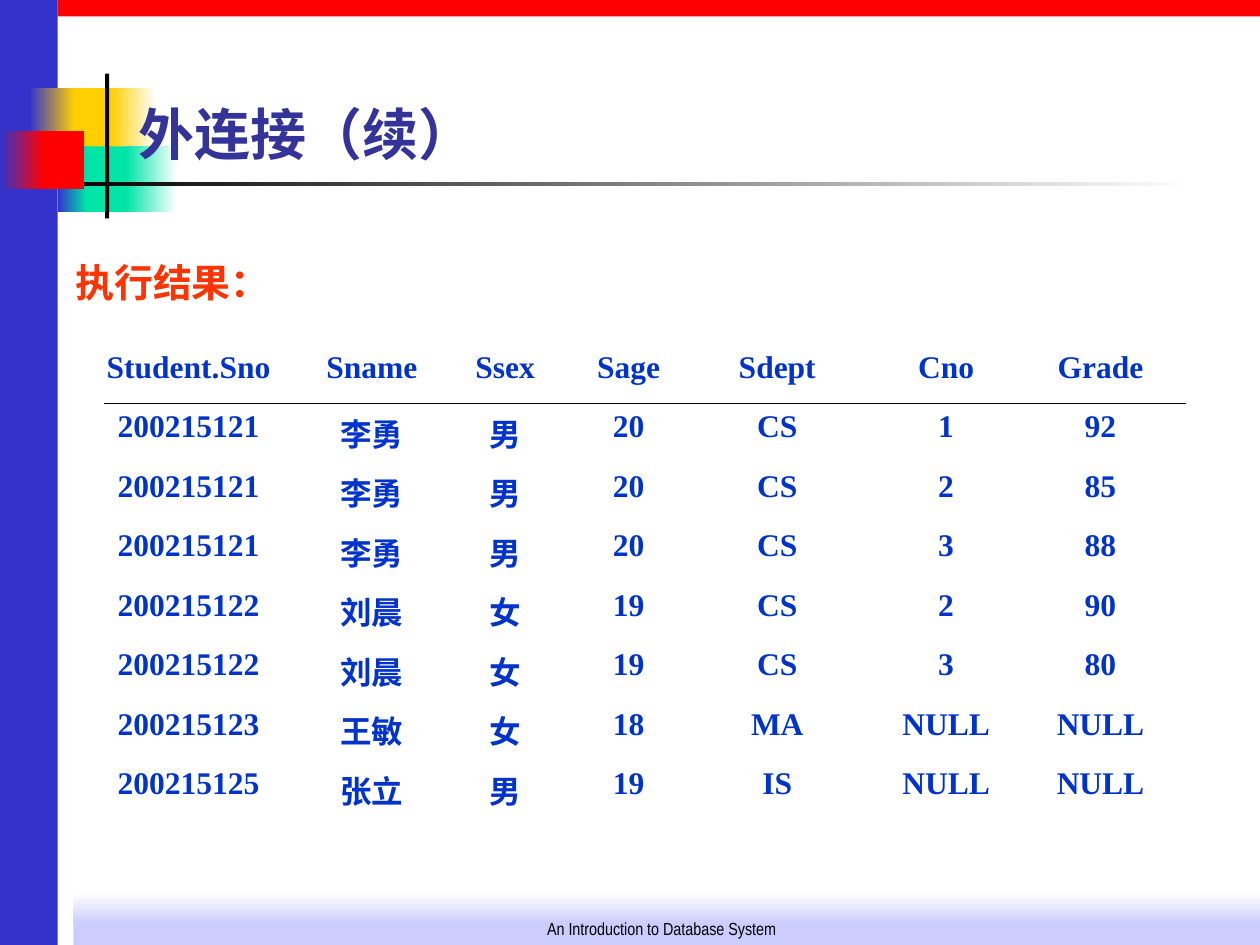
"""Build the slide that shows the result of an outer join."""
from lxml import etree
from pptx import Presentation
from pptx import util as u
from pptx.dml import color
from pptx.enum import shapes, text
from pptx.oxml import ns

PT = u.Pt
BLUE, GOLD, MINT, RED = "3333CC", "FFCF01", "00E4A8", "FF0000"
WHITE, BLACK, PALE = "FFFFFF", "000000", "CCCCFF"

BARS = [
    ((33, 0, 687, 9.4), [RED], 0),
    ((42, 522, 678, 18), [PALE], 0),
    ((42, 510, 678, 18), [WHITE, PALE], 270),
    ((0, 0, 33, 540), [BLUE], 0),
    ((42, 50.4, 25, 37.4), [GOLD], 0),
    ((63, 50.4, 26, 37.4), [GOLD, WHITE], 0),
    ((42.5, 83.7, 33, 37.4), [MINT], 0),
    ((72, 83.7, 29, 37.4), [MINT, WHITE], 0),
    ((60, 42, 2.4, 82.8), [BLACK], 0),
    ((16.8, 50.4, 25.7, 37.4), [BLUE, GOLD], 0),
    ((33, 83.7, 16.5, 37.4), [BLUE, MINT], 0),
    ((34.5, 104, 648, 2.5), [BLACK, WHITE], 0),
    ((23, 75, 25, 33), [RED], 0),
    ((0, 75, 25, 33), [BLUE, RED], 0),
]

MID, LEFT = text.PP_ALIGN.CENTER, text.PP_ALIGN.LEFT
TOP, LOW = text.MSO_ANCHOR.TOP, text.MSO_ANCHOR.BOTTOM
TEXTS = [
    ("An Introduction to Database System", (264, 504, 228, 36), LOW, MID,
     ("Arial Narrow", 10, BLACK, False)),
    ("外连接（续）", (72, 54, 582, 44.6), LOW, LEFT,
     ("Montserrat", 32, "333399", True)),
    ("执行结果：", (36, 144, 318, 35.3), TOP, LEFT,
     ("DejaVu Sans", 22.2, "FF3300", True)),
]

ROWS = [
    ("Student.Sno", "Sname", "Ssex", "Sage", "Sdept", "Cno", "Grade"),
    ("200215121", "李勇", "男", "20", "CS", "1", "92"),
    ("200215121", "李勇", "男", "20", "CS", "2", "85"),
    ("200215121", "李勇", "男", "20", "CS", "3", "88"),
    ("200215122", "刘晨", "女", "19", "CS", "2", "90"),
    ("200215122", "刘晨", "女", "19", "CS", "3", "80"),
    ("200215123", "王敏", "女", "18", "MA", "NULL", "NULL"),
    ("200215125", "张立", "男", "19", "IS", "NULL", "NULL"),
]
COLS = [130.5, 79, 73.5, 67.5, 102.5, 90.5, 86]
ROW_H = 34
CELL = ("Times New Roman", 18, "0033CC", True)


def rgb(code):
    return color.RGBColor.from_string(code)


def style(frame, align, look):
    name, size, code, bold = look
    para = frame.paragraphs[0]
    para.alignment = align
    for run in para.runs:
        font = run.font
        font.name, font.size, font.bold = name, PT(size), bold
        font.color.rgb = rgb(code)


def add_bar(slide, box, tones, angle):
    bar = slide.shapes.add_shape(shapes.MSO_SHAPE.RECTANGLE, *map(PT, box))
    bar.shadow.inherit = False
    bar.line.fill.background()
    if len(tones) == 1:
        bar.fill.solid()
        bar.fill.fore_color.rgb = rgb(tones[0])
        return
    bar.fill.gradient()
    bar.fill.gradient_angle = angle
    for stop, tone in zip(bar.fill.gradient_stops, tones):
        stop.color.rgb = rgb(tone)


def add_text(slide, words, box, anchor, align, look):
    frame = slide.shapes.add_textbox(*map(PT, box)).text_frame
    frame.word_wrap = True
    frame.vertical_anchor = anchor
    frame.text = words
    style(frame, align, look)


def add_grid(slide):
    box = (42.5, 196.5, sum(COLS), ROW_H * len(ROWS))
    grid = slide.shapes.add_table(len(ROWS), len(COLS), *map(PT, box)).table
    grid.first_row = grid.horz_banding = False
    for col, width in zip(grid.columns, COLS):
        col.width = PT(width)
    for r, row in enumerate(ROWS):
        grid.rows[r].height = PT(ROW_H)
        for c, words in enumerate(row):
            cell = grid.cell(r, c)
            cell.fill.background()
            cell.text_frame.text = words
            style(cell.text_frame, MID, CELL)


def add_rule(slide):
    ends = (59.5, 230.4, 677.5, 230.4)
    rule = slide.shapes.add_connector(
        shapes.MSO_CONNECTOR.STRAIGHT, *map(PT, ends))
    rule.line.color.rgb = rgb(BLACK)
    rule.line.width = PT(0.75)
    etree.SubElement(rule.element.spPr, ns.qn("a:effectLst"))


def main():
    deck = Presentation()
    deck.slide_width, deck.slide_height = PT(720), PT(540)
    slide = deck.slides.add_slide(deck.slide_layouts[6])
    for bar in BARS:
        add_bar(slide, *bar)
    for item in TEXTS:
        add_text(slide, *item)
    add_grid(slide)
    add_rule(slide)
    deck.save("out.pptx")


if __name__ == "__main__":
    main()
